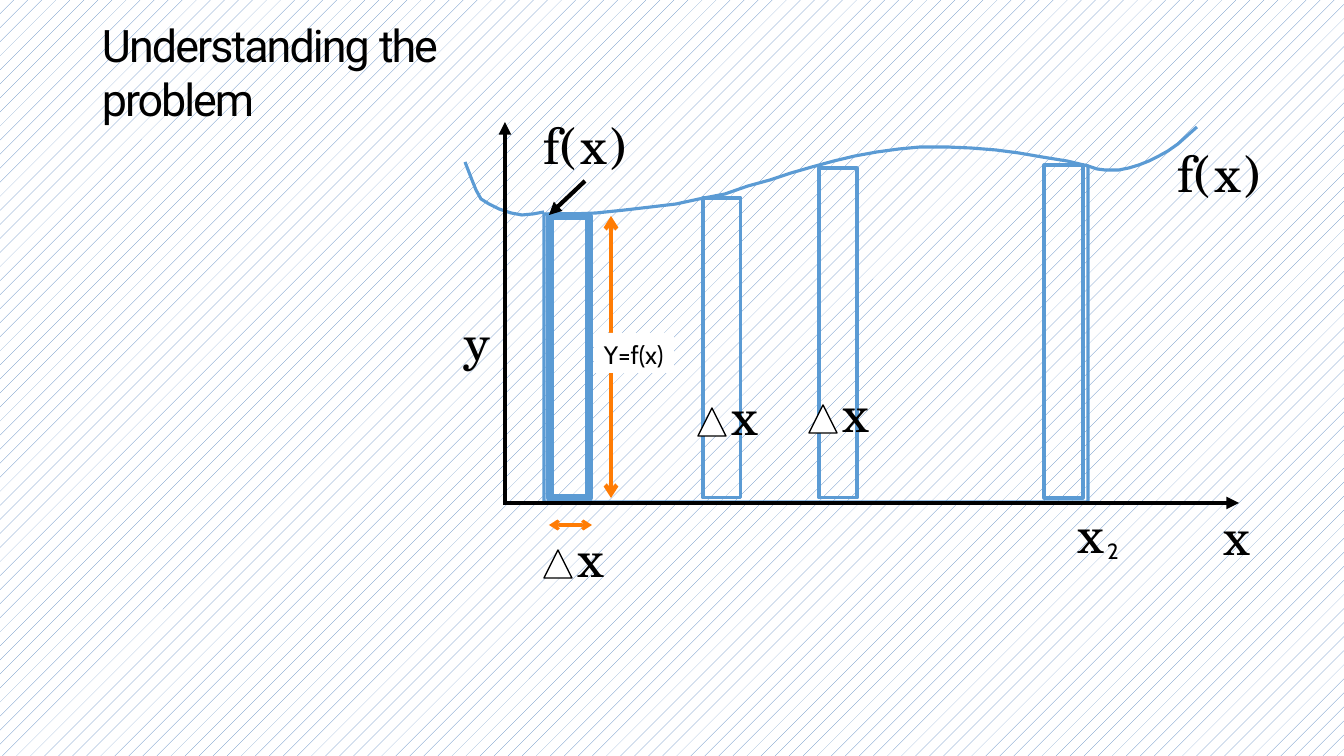
import pptx
import pptx.util
import pptx.dml.color
import pptx.enum.dml
import pptx.enum.shapes
import pptx.oxml.ns
import lxml.etree

Pt = pptx.util.Pt
Shape = pptx.enum.shapes.MSO_SHAPE
qn = pptx.oxml.ns.qn
PX = 12192000 / 1344


def rgb(code):
    return pptx.dml.color.RGBColor.from_string(code)


theme = {
    "ink": rgb("000000"), "paper": rgb("FFFFFF"), "blue": rgb("5B9BD4"),
    "orange": rgb("FF7C04"), "hatch": rgb("4F81BD"),
    "head": ("Roboto", 32), "math": ("TeX Gyre Schola", 36),
    "sub": ("Cabin", 27), "note": ("Cabin", 18),
}

deck = pptx.Presentation()
deck.slide_width = round(1344 * PX)
deck.slide_height = round(756 * PX)
slide = deck.slides.add_slide(deck.slide_layouts[6])
shapes = slide.shapes

back = slide.background.fill
back.patterned()
back.pattern = pptx.enum.dml.MSO_PATTERN.PERCENT_5
back.fore_color.rgb = theme["hatch"]
back.back_color.rgb = theme["paper"]


def write(shape, parts, left=1, top=2):
    frame = shape.text_frame
    frame.word_wrap = True
    frame.vertical_anchor = pptx.enum.text.MSO_ANCHOR.TOP
    frame.margin_left, frame.margin_top = round(left * PX), round(top * PX)
    frame.margin_right = frame.margin_bottom = 0
    para = frame.paragraphs[0]
    para.alignment = pptx.enum.text.PP_ALIGN.LEFT
    for text, style, gap in parts:
        run = para.add_run()
        run.text = text
        run.font.name, size = theme[style]
        run.font.size = Pt(size)
        run.font.color.rgb = theme["ink"]
        props = run.font._element
        props.set("spc", str(gap))
        if style == "sub":
            props.set("baseline", "-17000")


area = [
    (544, 502), (544, 214), (571, 214), (596, 213), (625, 210), (651, 207),
    (676, 204), (699, 199), (725, 194), (748, 186), (770, 180), (791, 173),
    (812, 167), (834, 161), (855, 156), (877, 152), (899, 149), (920, 147),
    (947, 147), (971, 148), (996, 150), (1019, 153), (1042, 157),
    (1067, 161), (1088, 166), (1088, 502),
]
right = [
    (1085, 165), (1097, 169), (1105, 170), (1119, 170), (1129, 168),
    (1139, 165), (1149, 161), (1159, 156), (1168, 151), (1178, 144),
    (1187, 136), (1197, 127),
]
left = [
    (544, 212), (533, 214), (522, 215), (511, 213), (499, 209), (489, 204),
    (481, 199), (476, 190), (472, 180), (465, 162),
]
for points, closed in [(area, True), (right, False), (left, False)]:
    pen = shapes.build_freeform(*points[0], scale=PX)
    pen.add_line_segments(points[1:], close=closed)
    curve = pen.convert_to_shape()
    curve.shadow.inherit = False
    curve.fill.background()
    curve.line.color.rgb = theme["blue"]
    curve.line.width = Pt(2.25)

base = 498
for x, y, wide, weight in [(703, 198, 38, 2.25), (819, 168, 38, 2.25),
                           (1044, 165, 39, 2.25), (550, 216, 39, 6)]:
    bar = shapes.add_shape(Shape.RECTANGLE, *[round(n * PX) for n in (x, y, wide, base - y)])
    bar.shadow.inherit = False
    bar.fill.background()
    bar.line.color.rgb = theme["blue"]
    bar.line.width = Pt(weight)

func = [("f", "math", -250), ("(x)", "math", 190)]
letter = [("x", "math", 10)]
labels = [
    (101, 16, 480, 56, [("Understanding ", "head", -140), ("the ", "head", -160),
                        ("problem", "head", -150)]),
    (543, 112, 90, 63, func),
    (1177, 140, 90, 63, func),
    (1223, 503, 36, 63, letter),
    (462, 309, 36, 63, [("y", "math", 110)]),
    (1077, 501, 56, 63, [("x", "math", 140), ("2", "sub", 210)]),
]
for x, y in [(544, 550), (698, 408), (809, 405)]:
    delta = shapes.add_shape(Shape.ISOSCELES_TRIANGLE, *[round(n * PX) for n in (x, y, 28, 28)])
    delta.shadow.inherit = False
    delta.fill.solid()
    delta.fill.fore_color.rgb = theme["paper"]
    delta.line.color.rgb = theme["ink"]
    delta.line.width = Pt(0.96)
    labels.append((x + 33, y - 25, 36, 63, letter))

for x, y, wide, tall, parts in labels:
    write(shapes.add_textbox(*[round(n * PX) for n in (x, y, wide, tall)]), parts)

both, end = ("headEnd", "tailEnd"), ("tailEnd",)
arrows = [
    (505, 503, 505, 122, "ink", 3, "triangle", end),
    (503, 503, 1239, 503, "ink", 3, "triangle", end),
    (585, 181, 549, 215, "ink", 3, "triangle", end),
    (611, 216, 611, 498, "orange", 3, "arrow", both),
    (549, 525, 592, 525, "orange", 2.25, "arrow", both),
]
for x1, y1, x2, y2, hue, weight, tip, ends in arrows:
    arrow = shapes.add_connector(pptx.enum.shapes.MSO_CONNECTOR.STRAIGHT,
                                 *[round(n * PX) for n in (x1, y1, x2, y2)])
    arrow.line.color.rgb = theme[hue]
    arrow.line.width = Pt(weight)
    for side in ends:
        lxml.etree.SubElement(arrow.line._get_or_add_ln(), qn("a:" + side), type=tip)
    lxml.etree.SubElement(arrow._element.spPr, qn("a:effectLst"))

note = shapes.add_shape(Shape.RECTANGLE, *[round(n * PX) for n in (594, 333, 80, 40)])
note.shadow.inherit = False
note.fill.solid()
note.fill.fore_color.rgb = theme["paper"]
note.line.fill.background()
write(note, [("Y=f(x)", "note", -10)], 10, 6)

deck.save("out.pptx")
